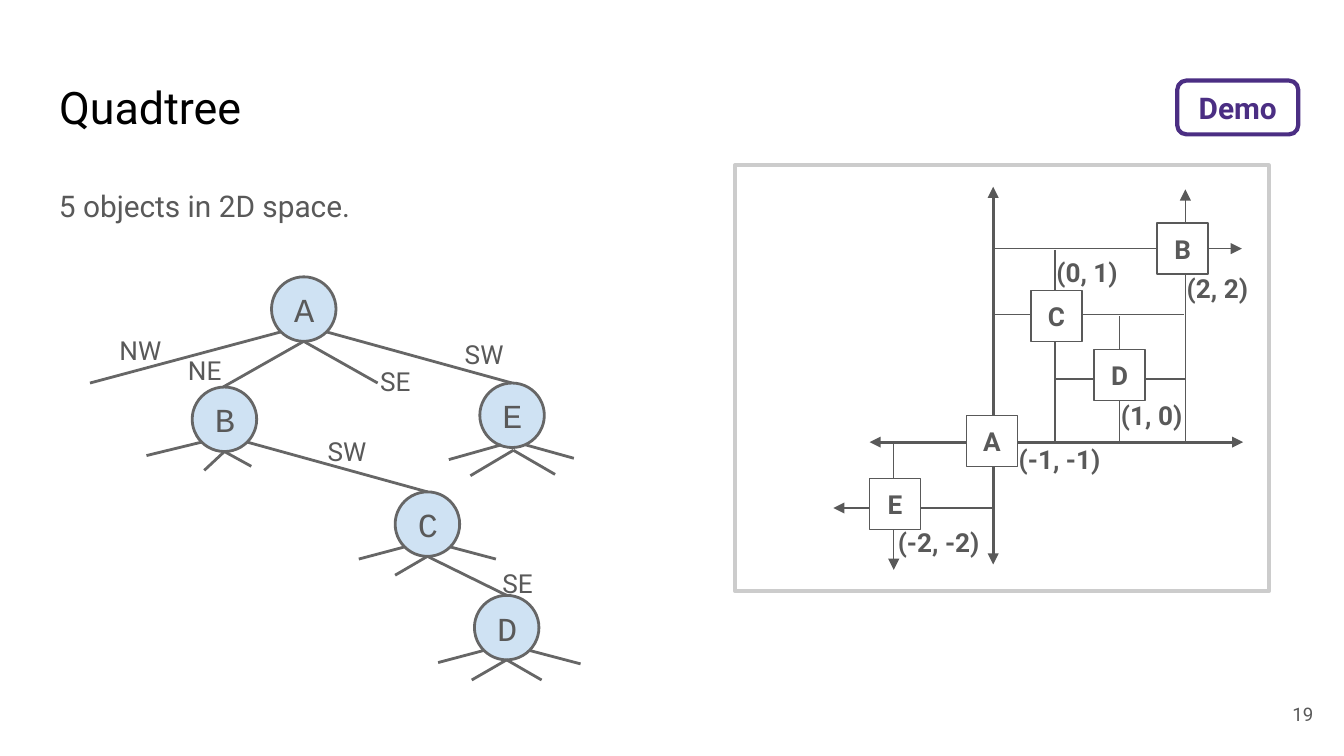
"""Build the Quadtree slide: a tree on the left and its 2D space on the right."""
import pptx
import pptx.util
import pptx.dml.color
import pptx.enum.shapes
import pptx.enum.text
import pptx.oxml

PX = 9144
GRAY, EDGE = "595959", "666666"
SHAPE = pptx.enum.shapes.MSO_SHAPE
ALIGN = pptx.enum.text.PP_ALIGN
ANCHOR = pptx.enum.text.MSO_ANCHOR
NS = 'xmlns:a="http://schemas.openxmlformats.org/drawingml/2006/main"'
rgb = pptx.dml.color.RGBColor.from_string

prs = pptx.Presentation()
prs.slide_width = 1000 * PX
prs.slide_height = prs.slide_width * 9 // 16
s = prs.slides.add_slide(prs.slide_layouts[5])


def add(box, text="", size=14, color=GRAY, bold=False, font="Roboto", kind=None,
        fill="FFFFFF", edge=GRAY, width=0.75, inset=10, sp=None):
    """Add a text box, or a filled shape when a kind is given, and format its text."""
    left, top, w, h = [n * PX for n in box]
    if kind:
        sp = s.shapes.add_shape(kind, left, top, w, h)
        sp.shadow.inherit = False
        sp.fill.solid()
        sp.fill.fore_color.rgb = rgb(fill)
        sp.line.color.rgb = rgb(edge)
        sp.line.width = pptx.util.Pt(width)
    elif sp is None:
        sp = s.shapes.add_textbox(left, top, w, h)
    else:
        sp.left, sp.top, sp.width, sp.height = left, top, w, h
    tf = sp.text_frame
    tf.word_wrap = True
    tf.auto_size = pptx.enum.text.MSO_AUTO_SIZE.NONE
    tf.margin_left = tf.margin_right = tf.margin_top = tf.margin_bottom = inset * PX
    tf.vertical_anchor = ANCHOR.MIDDLE if kind else ANCHOR.TOP
    p = tf.paragraphs[0]
    p.alignment = ALIGN.CENTER if kind else ALIGN.LEFT
    if text:
        p.text = text
        r = p.runs[0]
        r.font.name, r.font.size, r.font.bold = font, pptx.util.Pt(size), bold
        r.font.color.rgb = rgb(color)
    return sp


def line(x1, y1, x2, y2, color, width, arrows=()):
    """Add a straight line with arrowheads at the named ends."""
    c = s.shapes.add_connector(pptx.enum.shapes.MSO_CONNECTOR.STRAIGHT,
                               x1 * PX, y1 * PX, x2 * PX, y2 * PX)
    c.line.color.rgb = rgb(color)
    c.line.width = pptx.util.Pt(width)
    for end in arrows:
        c.line._get_or_add_ln().append(
            pptx.oxml.parse_xml(f'<a:{end} {NS} type="triangle"/>'))
    c._element.spPr.append(pptx.oxml.parse_xml(f"<a:effectLst {NS}/>"))


add((34, 49, 432, 63), "Quadtree", 24, "000000", sp=s.shapes.title)
p = add((34, 126, 432, 45), "5 objects in 2D space.", 16).text_frame.paragraphs[0]
p.line_spacing = 1.15
p.space_after = pptx.util.Pt(8)
tf = add((927, 510, 60, 43), "19", 10).text_frame
tf.vertical_anchor = ANCHOR.MIDDLE
tf.paragraphs[0].alignment = ALIGN.RIGHT

feet = [(7, 41), (24, 48), (24, 48), (41, 41)]
feet_e = [(16, 46), (25, 50), (25, 50), (34, 46)]
nodes = [
    ("A", 202, 206, feet, [(67, 285), (166, 288), (281, 285), (381, 285)]),
    ("B", 143, 288, feet, [(109, 339), (152, 350), (187, 347), (318, 366)]),
    ("C", 294, 366, feet, [(267, 416), (294, 428), (377, 443), (369, 416)]),
    ("D", 353, 443, feet, [(326, 493), (351, 506), (403, 506), (432, 494)]),
    ("E", 357, 285, feet_e, [(334, 342), (350, 354), (413, 353), (427, 341)]),
]
for name, x, y, starts, tips in nodes:
    add((x, y, 48, 48), name, 18, font="Courier New", kind=SHAPE.OVAL,
        fill="CFE2F3", edge=EDGE, width=1.5)
    for (dx, dy), tip in zip(starts, tips):
        line(x + dx, y + dy, *tip, EDGE, 1.5)

for text, x, y in [("NW", 79, 239), ("NE", 130, 254), ("SE", 273, 262),
                   ("SW", 336, 242), ("SW", 234, 314), ("SE", 364, 412)]:
    add((x, y, 57, 33), text)

add((547, 123, 397, 317), kind=SHAPE.RECTANGLE, edge="CCCCCC", width=2.25)
for axis in [(739, 139, 739, 420), (647, 329, 925, 329)]:
    line(*axis, GRAY, 1.5, ("headEnd", "tailEnd"))
for x1, y1, x2, y2, arrows in [
    (740, 185, 924, 185, ["tailEnd"]), (882, 328, 882, 141, ["tailEnd"]),
    (740, 234, 881, 234, []), (785, 186, 785, 329, []),
    (785, 282, 882, 282, []), (833, 329, 833, 235, []),
    (620, 378, 739, 378, ["headEnd"]), (665, 330, 665, 424, ["tailEnd"]),
]:
    line(x1, y1, x2, y2, GRAY, 0.75, arrows)

for name, x, y, coords, cx, cy in [
    ("A", 719, 309, "(-1, -1)", 758, 330), ("B", 861, 166, "(2, 2)", 883, 203),
    ("C", 767, 216, "(0, 1)", 786, 191), ("D", 814, 260, "(1, 0)", 834, 297),
    ("E", 647, 356, "(-2, -2)", 668, 392),
]:
    add((x, y, 38, 38), name, bold=True, kind=SHAPE.RECTANGLE)
    add((cx, cy, 79, 31), coords, bold=True, inset=0)

sp = add((876, 60, 90, 40), "Demo", 16, "4B2E83", True,
         kind=SHAPE.ROUNDED_RECTANGLE, edge="4B2E83", width=2.25)
sp.adjustments[0] = 0.17

prs.save("out.pptx")
